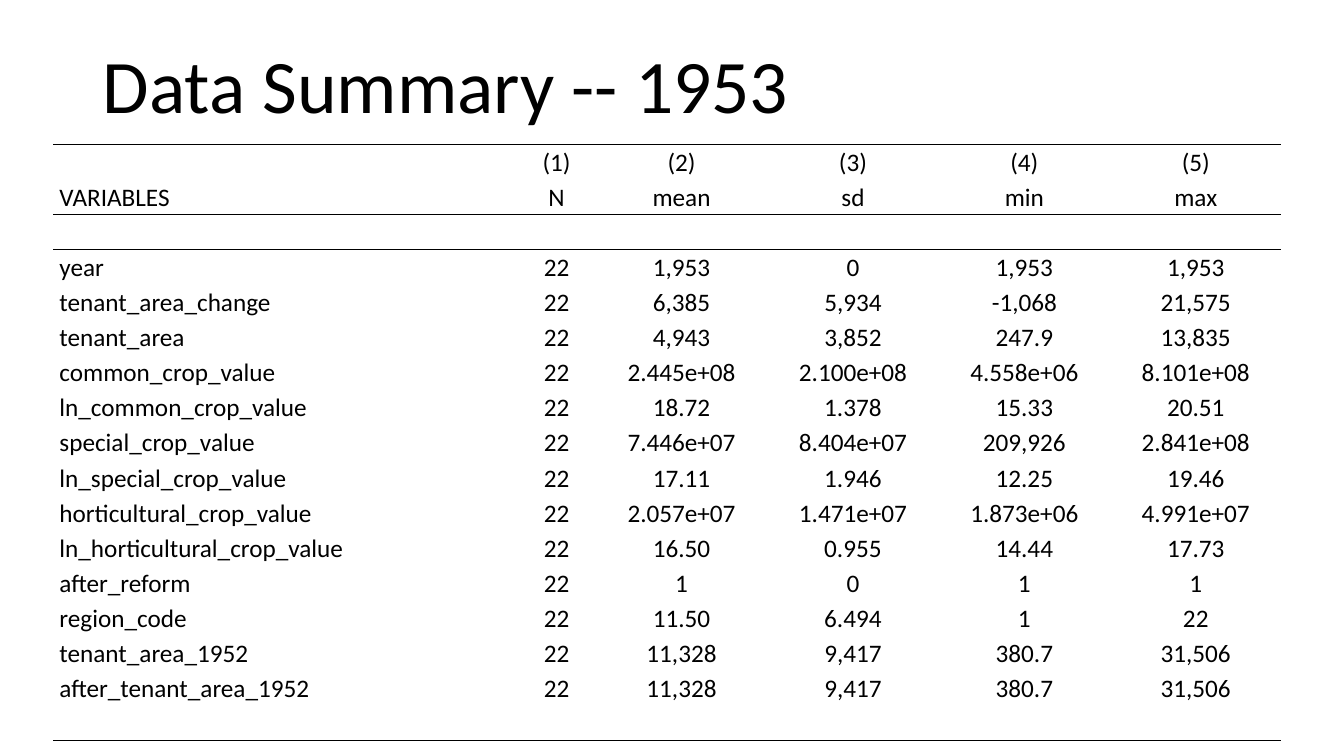
import dataclasses
import pptx
import pptx.dml.color
import pptx.enum.text
import pptx.oxml
import pptx.oxml.ns
import pptx.util
import pptx.table
import pptx.text.text

Inches = pptx.util.Inches
ALIGN = pptx.enum.text.PP_ALIGN
ANCHOR = pptx.enum.text.MSO_ANCHOR
BLACK = pptx.dml.color.RGBColor(0, 0, 0)
FONT = "Calibri"
PLAIN = "{2D5ABB26-0587-4C30-8999-92F81FD0307C}"
WIDTHS = (4.6, 0.78, 1.7, 1.7, 1.7, 1.7)


@dataclasses.dataclass(frozen=True)
class Row:
    cells: tuple[str, ...] = ("",) * len(WIDTHS)
    edge: str = ""


def stat(name: str, *values: str) -> Row:
    return Row((name, "22", *values))


ROWS = (
    Row(("", "(1)", "(2)", "(3)", "(4)", "(5)"), "T"),
    Row(("VARIABLES", "N", "mean", "sd", "min", "max"), "B"),
    Row(edge="T"),
    stat("year", "1,953", "0", "1,953", "1,953"),
    stat("tenant_area_change", "6,385", "5,934", "-1,068", "21,575"),
    stat("tenant_area", "4,943", "3,852", "247.9", "13,835"),
    stat("common_crop_value", "2.445e+08", "2.100e+08", "4.558e+06", "8.101e+08"),
    stat("ln_common_crop_value", "18.72", "1.378", "15.33", "20.51"),
    stat("special_crop_value", "7.446e+07", "8.404e+07", "209,926", "2.841e+08"),
    stat("ln_special_crop_value", "17.11", "1.946", "12.25", "19.46"),
    stat("horticultural_crop_value", "2.057e+07", "1.471e+07", "1.873e+06", "4.991e+07"),
    stat("ln_horticultural_crop_value", "16.50", "0.955", "14.44", "17.73"),
    stat("after_reform", "1", "0", "1", "1"),
    stat("region_code", "11.50", "6.494", "1", "22"),
    stat("tenant_area_1952", "11,328", "9,417", "380.7", "31,506"),
    stat("after_tenant_area_1952", "11,328", "9,417", "380.7", "31,506"),
    Row(edge="B"),
)


def write(frame: pptx.text.text.TextFrame, text: str, *, size: float,
          align: ALIGN, space: float) -> None:
    para = frame.paragraphs[0]
    para.alignment = align
    para.line_spacing = space
    if text:
        run = para.add_run()
        run.text = text
        run.font.name = FONT
        run.font.size = pptx.util.Pt(size)
        run.font.color.rgb = BLACK


def rule(cell: pptx.table._Cell, edge: str) -> None:
    line = pptx.oxml.parse_xml(
        f'<a:ln{edge} {pptx.oxml.ns.nsdecls("a")} w="{pptx.util.Pt(1)}">'
        f'<a:solidFill><a:srgbClr val="{BLACK}"/></a:solidFill>'
        f'<a:prstDash val="solid"/></a:ln{edge}>'
    )
    cell._tc.get_or_add_tcPr().append(line)


def fill(cell: pptx.table._Cell, text: str, edge: str, align: ALIGN) -> None:
    if edge:
        rule(cell, edge)
    cell.fill.background()
    cell.margin_left = cell.margin_right = Inches(0.06)
    cell.margin_top = Inches(0.01)
    cell.margin_bottom = 0
    write(cell.text_frame, text, size=18, align=align, space=1.07)


def main() -> None:
    deck = pptx.Presentation()
    deck.slide_width = Inches(13.33)
    deck.slide_height = Inches(7.5)
    slide = deck.slides.add_slide(deck.slide_layouts[5])

    title = slide.shapes.title
    title.left, title.top = Inches(0.92), Inches(0.32)
    title.width, title.height = Inches(11.5), Inches(1.02)
    title.text_frame.vertical_anchor = ANCHOR.BOTTOM
    write(title.text_frame, "Data Summary -- 1953", size=54, align=ALIGN.LEFT, space=0.9)

    table = slide.shapes.add_table(
        len(ROWS), len(WIDTHS), Inches(0.53), Inches(1.43),
        Inches(sum(WIDTHS)), Inches(5.92),
    ).table
    table.first_row = table.horz_banding = False
    table._tbl.tblPr.find(pptx.oxml.ns.qn("a:tableStyleId")).text = PLAIN
    for col, width in zip(table.columns, WIDTHS):
        col.width = Inches(width)
    for i, row in enumerate(ROWS):
        for j, text in enumerate(row.cells):
            align = ALIGN.CENTER if j else ALIGN.LEFT
            fill(table.cell(i, j), text, row.edge, align)

    deck.save("out.pptx")


if __name__ == "__main__":
    main()
